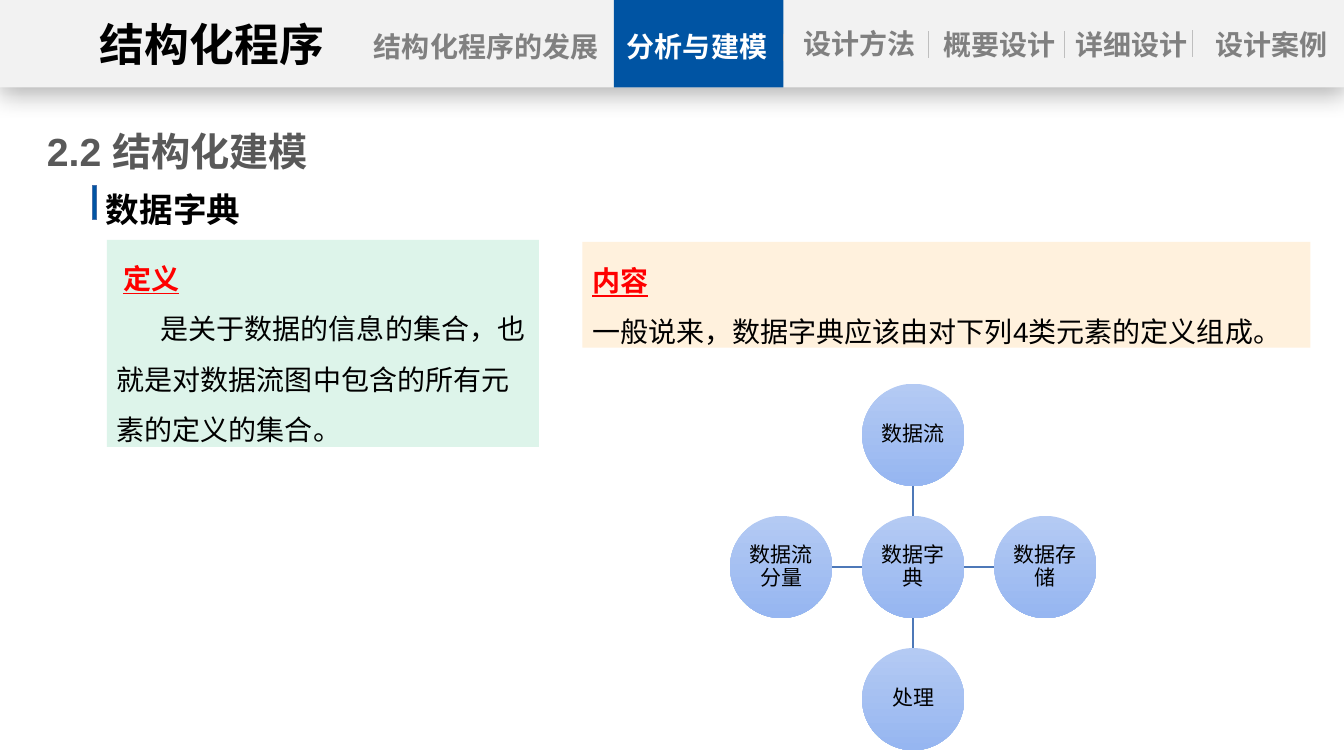
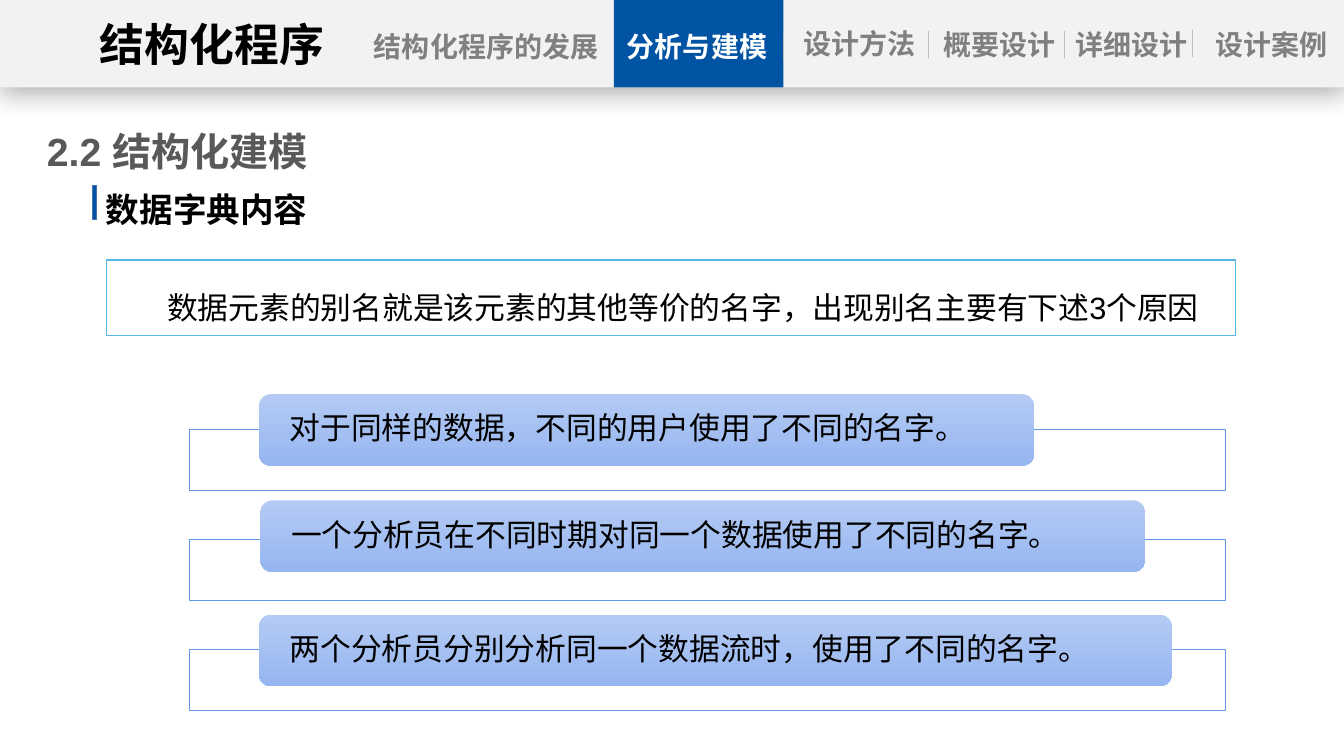
"""Build two slides on structured modelling and the data dictionary."""

from dataclasses import dataclass

from lxml.etree import SubElement
from pptx import Presentation
from pptx.dml.color import RGBColor
from pptx.enum.shapes import MSO_CONNECTOR, MSO_SHAPE
from pptx.enum.text import MSO_ANCHOR, PP_ALIGN
from pptx.oxml.ns import qn
from pptx.shapes.autoshape import Shape
from pptx.slide import Slide
from pptx.util import Pt

FONT = "Arial"
BLACK = RGBColor(0x00, 0x00, 0x00)
WHITE = RGBColor(0xFF, 0xFF, 0xFF)
RED = RGBColor(0xFF, 0x00, 0x00)
TITLE_GRAY = RGBColor(0x59, 0x59, 0x59)
NAV_GRAY = RGBColor(0x80, 0x80, 0x80)
DIVIDER_GRAY = RGBColor(0xBF, 0xBF, 0xBF)
BAND_GRAY = RGBColor(0xF2, 0xF2, 0xF2)
ACCENT_BLUE = RGBColor(0x00, 0x54, 0xA3)
ACCENT_EDGE = RGBColor(0x47, 0x6F, 0xAA)
SPOKE_BLUE = RGBColor(0x4D, 0x78, 0xB8)
FRAME_BLUE = RGBColor(0x60, 0x96, 0xE6)
NOTE_BLUE = RGBColor(0x58, 0xB6, 0xE5)
GRADIENT_TOP = RGBColor(0xB4, 0xCA, 0xF3)
GRADIENT_BOTTOM = RGBColor(0x96, 0xB6, 0xF1)
MINT = RGBColor(0xDD, 0xF4, 0xEA)
CREAM = RGBColor(0xFF, 0xF1, 0xDD)

SLIDE_WIDTH, SLIDE_HEIGHT = 960, 540
BAND_HEIGHT = 62.5
DIVIDER_LENGTH = 19.4
CIRCLE_SIZE, CIRCLE_PITCH = 73, 94.4
HUB_X, HUB_Y = 652.3, 405
FRAME_TOP, FRAME_PITCH = 306.6, 78.6


@dataclass(frozen=True)
class Box:
    """Position and size in points."""

    left: float
    top: float
    width: float
    height: float


@dataclass(frozen=True)
class Line:
    """One paragraph and its format."""

    text: str
    size: float
    color: RGBColor = BLACK
    bold: bool = False
    underline: bool = False
    align: PP_ALIGN = PP_ALIGN.LEFT
    spacing: float = 1.0
    indent: float = 0


@dataclass(frozen=True)
class NavigationItem:
    """One label of the header band."""

    text: str
    box: Box
    size: float = 20
    color: RGBColor = NAV_GRAY


@dataclass(frozen=True)
class Divider:
    """One thin upright line of the header band."""

    left: float
    top: float


@dataclass(frozen=True)
class Spoke:
    """One outer circle, with its direction from the hub."""

    text: str
    across: int
    down: int


@dataclass(frozen=True)
class Reason:
    """One reason shown as a rounded bar."""

    text: str
    box: Box


NAVIGATION = (
    NavigationItem("结构化程序的发展", Box(262, 17.3, 170.6, 31.5)),
    NavigationItem("分析与建模", Box(445, 17.3, 105.8, 31.5), color=WHITE),
    NavigationItem("设计方法", Box(561, 15.6, 105.8, 31.5)),
    NavigationItem("概要设计", Box(661, 16, 105.8, 31.5)),
    NavigationItem("详细设计", Box(753.5, 16.2, 109.4, 31.5)),
    NavigationItem("结构化程序", Box(65.5, 8.6, 172, 46), 32, BLACK),
    NavigationItem("设计案例", Box(855.5, 16, 105.8, 31.5)),
)
DIVIDERS = (
    Divider(559.6, 24.5),
    Divider(663.1, 22.3),
    Divider(760.3, 22.3),
    Divider(851.8, 21.6),
)
SPOKES = (
    Spoke("数据流", 0, -1),
    Spoke("数据存储", 1, 0),
    Spoke("处理", 0, 1),
    Spoke("数据流分量", -1, 0),
)
REASONS = (
    Reason("对于同样的数据，不同的用户使用了不同的名字。", Box(185, 281.5, 553.7, 51.1)),
    Reason("一个分析员在不同时期对同一个数据使用了不同的名字。", Box(186, 357.4, 632, 51.1)),
    Reason("两个分析员分别分析同一个数据流时，使用了不同的名字。", Box(185, 439, 652, 51.1)),
)


def lengths(box: Box) -> tuple[Pt, Pt, Pt, Pt]:
    """Turn a box into four lengths."""
    return Pt(box.left), Pt(box.top), Pt(box.width), Pt(box.height)


def write(
    shape: Shape,
    *lines: Line,
    side: float = 7.2,
    edge: float = 3.6,
    anchor: MSO_ANCHOR = MSO_ANCHOR.TOP,
) -> None:
    """Fill a shape with formatted paragraphs."""
    frame = shape.text_frame
    frame.word_wrap = True
    frame.vertical_anchor = anchor
    frame.margin_left = frame.margin_right = Pt(side)
    frame.margin_top = frame.margin_bottom = Pt(edge)
    for index, line in enumerate(lines):
        paragraph = frame.add_paragraph() if index else frame.paragraphs[0]
        paragraph.text = line.text
        paragraph.alignment = line.align
        paragraph.line_spacing = line.spacing
        paragraph.space_before = Pt(0)
        if line.indent:
            paragraph._p.get_or_add_pPr().set("indent", str(Pt(line.indent)))
        font = paragraph.font
        font.name = FONT
        font.size = Pt(line.size)
        font.bold = line.bold
        font.underline = line.underline
        font.color.rgb = line.color


def add_panel(
    slide: Slide,
    box: Box,
    fill: RGBColor | None = None,
    edge: RGBColor | None = None,
    edge_width: float = 1,
    kind: MSO_SHAPE = MSO_SHAPE.RECTANGLE,
) -> Shape:
    """Draw a preset shape; without a fill colour it gets the gradient."""
    shape = slide.shapes.add_shape(kind, *lengths(box))
    shape.shadow.inherit = False
    if fill is None:
        shape.fill.gradient()
        shape.fill.gradient_angle = 270
        for stop, color in zip(shape.fill.gradient_stops, (GRADIENT_TOP, GRADIENT_BOTTOM)):
            stop.color.rgb = color
    else:
        shape.fill.solid()
        shape.fill.fore_color.rgb = fill
    if edge is None:
        shape.line.fill.background()
    else:
        shape.line.color.rgb = edge
        shape.line.width = Pt(edge_width)
    return shape


def add_line(
    slide: Slide,
    start: tuple[float, float],
    end: tuple[float, float],
    color: RGBColor,
    width: float,
) -> None:
    """Draw a straight line without shadow."""
    connector = slide.shapes.add_connector(
        MSO_CONNECTOR.STRAIGHT, *(Pt(value) for value in (*start, *end))
    )
    connector.line.color.rgb = color
    connector.line.width = Pt(width)
    SubElement(connector._element.spPr, qn("a:effectLst"))


def add_header(slide: Slide) -> None:
    """Draw the shadowed band with its labels and dividers."""
    band = add_panel(slide, Box(0, 0, SLIDE_WIDTH, BAND_HEIGHT), BAND_GRAY)
    effects = band._element.spPr.find(qn("a:effectLst"))
    shadow = SubElement(
        effects,
        qn("a:outerShdw"),
        blurRad=str(Pt(18)),
        dist=str(Pt(4)),
        dir="5400000",
        algn="t",
        rotWithShape="0",
    )
    color = SubElement(shadow, qn("a:srgbClr"), val=str(BLACK))
    SubElement(color, qn("a:alpha"), val="29000")
    add_panel(slide, Box(438.5, 0, 121, BAND_HEIGHT), ACCENT_BLUE)
    for item in NAVIGATION:
        label = slide.shapes.add_textbox(*lengths(item.box))
        line = Line(item.text, item.size, item.color, bold=True, align=PP_ALIGN.CENTER)
        write(label, line, side=0)
    for divider in DIVIDERS:
        bottom = divider.top + DIVIDER_LENGTH
        add_line(slide, (divider.left, divider.top), (divider.left, bottom), DIVIDER_GRAY, 0.5)


def add_base_slide(presentation: Presentation, subheading: str) -> Slide:
    """Add a slide with header, title and subheading."""
    slide = presentation.slides.add_slide(presentation.slide_layouts[5])
    title = slide.shapes.title
    title.left, title.top, title.width, title.height = lengths(Box(33.5, 87, 204, 41.5))
    write(title, Line("2.2 结构化建模", 28, TITLE_GRAY, bold=True), side=0)
    add_header(slide)
    add_panel(slide, Box(66, 132.5, 3, 24.5), ACCENT_BLUE, ACCENT_EDGE)
    label = slide.shapes.add_textbox(*lengths(Box(68.6, 131.5, 399, 36.4)))
    write(label, Line(subheading, 24, bold=True))
    return slide


def add_circle(slide: Slide, text: str, center_x: float, center_y: float) -> None:
    """Draw a labelled circle around its centre."""
    radius = CIRCLE_SIZE / 2
    box = Box(center_x - radius, center_y - radius, CIRCLE_SIZE, CIRCLE_SIZE)
    circle = add_panel(slide, box, kind=MSO_SHAPE.OVAL)
    line = Line(text, 15, align=PP_ALIGN.CENTER, spacing=0.9)
    write(circle, line, side=0.7, edge=0.7, anchor=MSO_ANCHOR.MIDDLE)


def add_dictionary_slide(presentation: Presentation) -> None:
    """Add the slide that defines the data dictionary."""
    slide = add_base_slide(presentation, "数据字典")
    heading = {"size": 20, "color": RED, "bold": True, "underline": True, "spacing": 1.5}
    definition = add_panel(slide, Box(76.3, 171.3, 308.7, 148), MINT)
    write(
        definition,
        Line("定义", indent=4.5, **heading),
        Line("是关于数据的信息的集合，也就是对数据流图中包含的所有元素的定义的集合。", 20, spacing=1.5, indent=31.4),
    )
    content = add_panel(slide, Box(416, 172.8, 520, 75.5), CREAM)
    write(
        content,
        Line("内容", **heading),
        Line("一般说来，数据字典应该由对下列4类元素的定义组成。", 20, spacing=1.5),
    )
    add_circle(slide, "数据字典", HUB_X, HUB_Y)
    near, far = CIRCLE_SIZE / 2, CIRCLE_PITCH - CIRCLE_SIZE / 2
    for spoke in SPOKES:
        start, end, center = (
            (HUB_X + spoke.across * reach, HUB_Y + spoke.down * reach)
            for reach in (near, far, CIRCLE_PITCH)
        )
        add_line(slide, start, end, SPOKE_BLUE, 1)
        add_circle(slide, spoke.text, *center)


def add_alias_slide(presentation: Presentation) -> None:
    """Add the slide that lists the reasons for aliases."""
    slide = add_base_slide(presentation, "数据字典内容")
    note = add_panel(slide, Box(76.3, 185.8, 806.4, 54), WHITE, NOTE_BLUE)
    line = Line("数据元素的别名就是该元素的其他等价的名字，出现别名主要有下述3个原因", 22, spacing=1.5, indent=36)
    write(note, line, anchor=MSO_ANCHOR.MIDDLE)
    for index, reason in enumerate(REASONS):
        frame = Box(135.3, FRAME_TOP + index * FRAME_PITCH, 740, 43.8)
        add_panel(slide, frame, WHITE, FRAME_BLUE, 0.5)
        bar = add_panel(slide, reason.box, kind=MSO_SHAPE.ROUNDED_RECTANGLE)
        write(bar, Line(reason.text, 22, spacing=0.9), side=19.4, edge=0, anchor=MSO_ANCHOR.MIDDLE)


def main() -> None:
    """Build and save the presentation."""
    presentation = Presentation()
    presentation.slide_width = Pt(SLIDE_WIDTH)
    presentation.slide_height = Pt(SLIDE_HEIGHT)
    add_dictionary_slide(presentation)
    add_alias_slide(presentation)
    presentation.save("out.pptx")


if __name__ == "__main__":
    main()
